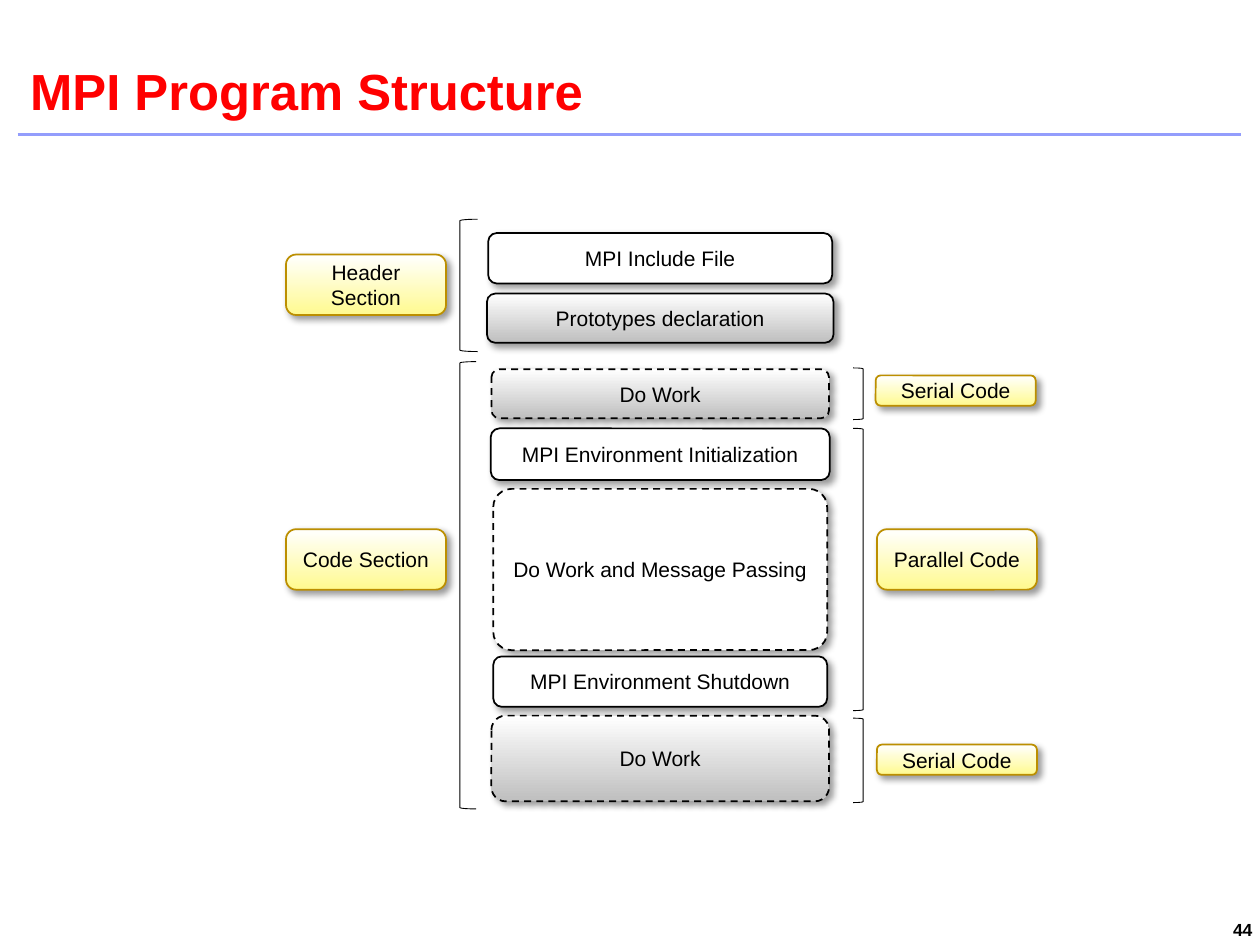
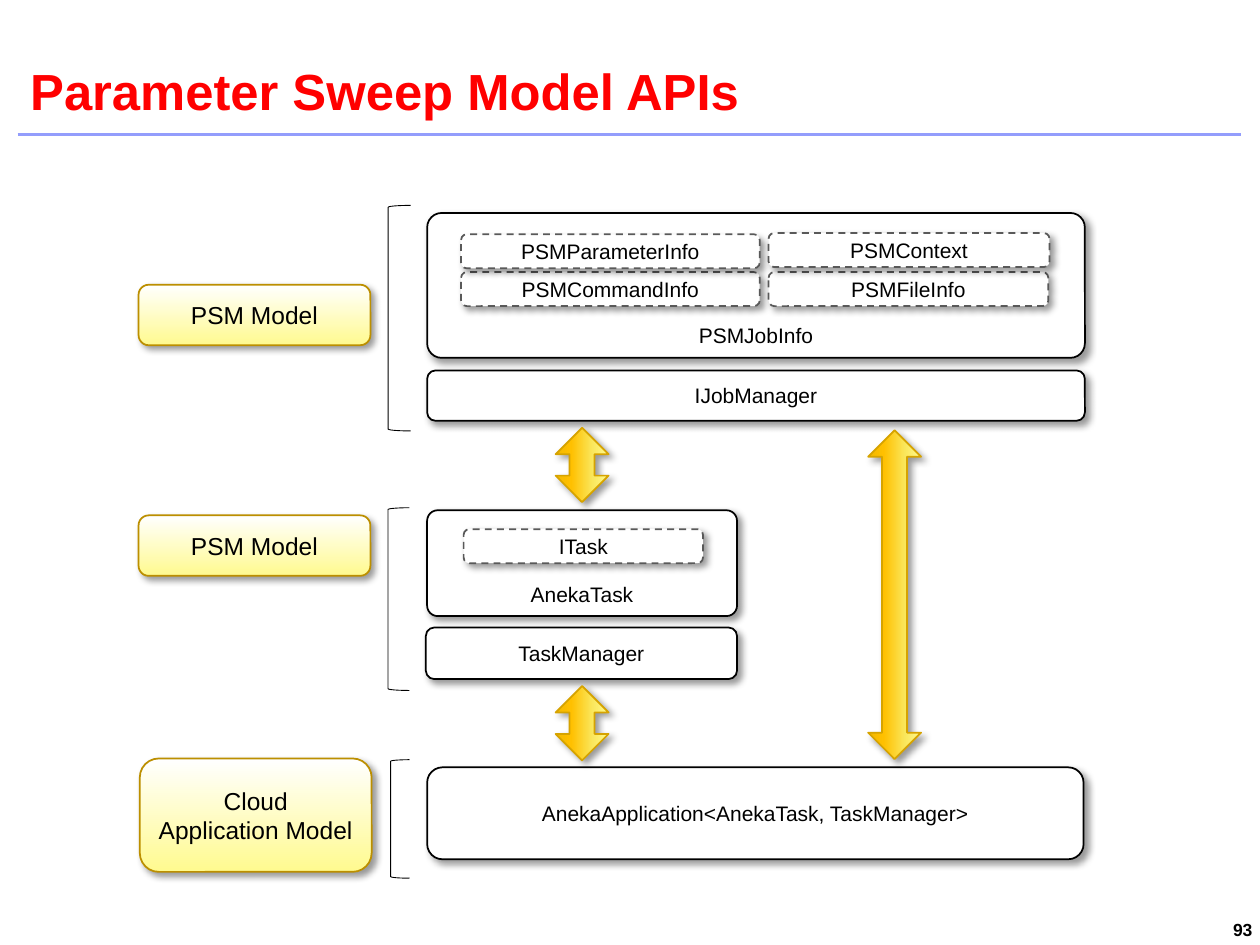
"""Builds two diagram slides: MPI program structure and parameter sweep APIs."""
from lxml.etree import SubElement
from pptx import Presentation
from pptx.dml.color import RGBColor as RGB
from pptx.enum.dml import MSO_LINE as Dash
from pptx.enum.shapes import MSO_CONNECTOR as Link, MSO_SHAPE as Form
from pptx.enum.text import MSO_ANCHOR as Anchor, PP_ALIGN as Align
from pptx.oxml.ns import qn
from pptx.util import Inches, Pt

HUES = {"title": "FF0000", "rule": "939DFC", "ink": "000000", "paper": "FFFFFF",
        "ash": "BFBFBF", "slate": "595959", "lemon": "FFFA8F", "ochre": "BC8F00",
        "straw": "FAE75C", "amber": "FFC000", "honey": "F2B800", "bronze": "D6A300"}

FADES = {"silver": (270, [(0, "paper"), (100, "ash")]),
         "yellow": (270, [(0, "paper"), (100, "lemon")]),
         "gold": (0, [(0, "honey"), (30, "amber"), (70, "straw"), (100, "lemon")])}

LOOKS = {"plain": {"fill": "paper", "line": "ink"},
         "grey": {"fill": "silver", "line": "ink"},
         "option": {"fill": "silver", "line": "ink", "dash": True},
         "work": {"fill": "paper", "line": "ink", "dash": True, "bends": [0.112]},
         "frame": {"fill": "paper", "line": "ink", "bends": [0.1], "anchor": Anchor.BOTTOM},
         "inner": {"fill": "paper", "line": "slate", "dash": True},
         "label": {"fill": "yellow", "line": "ochre"},
         "tag": {"fill": "yellow", "line": "ochre", "size": 14},
         "arrow": {"fill": "gold", "line": "bronze", "bends": [0.557, 0.472],
                   "form": Form.UP_DOWN_ARROW}}

AXIS = 5.24
STACK = [("MPI Include File", 1.85, 2.73, 0.4, "plain"),
         ("Prototypes declaration", 2.33, 2.75, 0.39, "grey"),
         ("Do Work", 2.93, 2.68, 0.39, "option"),
         ("MPI Environment Initialization", 3.4, 2.69, 0.41, "plain"),
         ("Do Work and Message Passing", 3.88, 2.65, 1.28, "work"),
         ("MPI Environment Shutdown", 5.21, 2.65, 0.4, "plain"),
         ("Do Work", 5.68, 2.68, 0.68, "option")]
PARTS = [("Header\nSection", 2.27, 2.02, 0.48), ("Code Section", 2.27, 4.2, 0.48),
         ("Serial Code", 6.95, 2.98, 0.24), ("Parallel Code", 6.96, 4.2, 0.48),
         ("Serial Code", 6.96, 5.91, 0.24)]
PART_WIDTH = 1.27

LAYERS = [("PSMJobInfo", 3.39, 1.69, 5.22, 1.15, "frame"),
          ("PSMCommandInfo", 3.66, 2.16, 2.37, 0.27, "inner"),
          ("PSMParameterInfo", 3.66, 1.86, 2.37, 0.27, "inner"),
          ("PSMFileInfo", 6.1, 2.16, 2.22, 0.27, "inner"),
          ("PSMContext", 6.1, 1.85, 2.23, 0.27, "inner"),
          ("IJobManager", 3.39, 2.94, 5.22, 0.4, "plain"),
          ("AnekaTask", 3.39, 4.05, 2.46, 0.84, "frame"),
          ("ITask", 3.68, 4.2, 1.9, 0.27, "inner"),
          ("TaskManager", 3.38, 4.98, 2.47, 0.41, "plain"),
          ("AnekaApplication<AnekaTask, TaskManager>", 3.39, 6.09, 5.21, 0.73, "plain"),
          ("PSM Model", 1.1, 2.26, 1.84, 0.48, "tag"),
          ("PSM Model", 1.1, 4.09, 1.84, 0.48, "tag"),
          ("Cloud\nApplication Model", 1.11, 6.02, 1.84, 0.9, "tag")]
ARROWS = [(4.62, 3.69, 0.59), (4.62, 5.74, 0.59), (7.1, 4.72, 2.61)]
ARROW_WIDTH = 0.42

LEFT, RIGHT = Form.LEFT_BRACKET, Form.RIGHT_BRACKET
MPI_SPANS = [(LEFT, 3.65, 1.74, 0.14, 1.05), (LEFT, 3.65, 2.87, 0.13, 3.55),
             (RIGHT, 6.77, 2.92, 0.08, 0.41), (RIGHT, 6.77, 3.4, 0.08, 2.24),
             (RIGHT, 6.77, 5.7, 0.08, 0.67)]
PSM_SPANS = [(LEFT, 3.08, 1.63, 0.18, 1.79), (LEFT, 3.08, 4.03, 0.17, 1.45),
             (LEFT, 3.1, 6.03, 0.15, 0.94)]


def color(name):
    return RGB.from_string(HUES[name])


def write(frame, text, size, hue="ink", bold=False, align=Align.CENTER, **form):
    for key, value in {"word_wrap": True, **form}.items():
        setattr(frame, key, value)
    frame.text = text
    for para in frame.paragraphs:
        para.alignment = align
        for key, value in {"name": "Arial", "size": Pt(size), "bold": bold}.items():
            setattr(para.font, key, value)
        para.font.color.rgb = color(hue)


def margins(left, top, right, bottom):
    sides = {"left": left, "top": top, "right": right, "bottom": bottom}
    return {f"margin_{side}": Inches(gap) for side, gap in sides.items()}


def hue_node(parent, name):
    return SubElement(parent, qn("a:srgbClr"), val=HUES[name])


def paint(shape, name):
    if name not in FADES:
        shape.fill.solid()
        shape.fill.fore_color.rgb = color(name)
        return
    angle, stops = FADES[name]
    shape.fill.gradient()
    shape.fill.gradient_angle = angle
    ramp = shape._element.spPr.find(".//" + qn("a:gsLst"))
    for stop in list(ramp):
        ramp.remove(stop)
    for place, hue in stops:
        hue_node(SubElement(ramp, qn("a:gs"), pos=str(place * 1000)), hue)


def shade(shape):
    effects = shape._element.spPr.find(qn("a:effectLst"))
    cast = SubElement(effects, qn("a:outerShdw"), blurRad=str(Pt(4)), dist=str(Pt(3)),
                      dir="2700000", algn="tl", rotWithShape="0")
    SubElement(hue_node(cast, "ink"), qn("a:alpha"), val="40000")


def place(slide, form, box, line, width):
    shape = slide.shapes.add_shape(form, *map(Inches, box))
    shape.shadow.inherit = False
    shape.line.color.rgb = color(line)
    shape.line.width = Pt(width)
    return shape


def block(slide, text, box, style):
    look = LOOKS[style]
    shape = place(slide, look.get("form", Form.ROUNDED_RECTANGLE), box, look["line"], 1)
    paint(shape, look["fill"])
    shade(shape)
    for index, bend in enumerate(look.get("bends", [])):
        shape.adjustments[index] = bend
    if look.get("dash"):
        shape.line.dash_style = Dash.DASH
    if text:
        write(shape.text_frame, text, look.get("size", 12),
              vertical_anchor=look.get("anchor", Anchor.MIDDLE))


def bracket(slide, form, *box):
    place(slide, form, box, "ink", 0.5).fill.background()


def start(deck, title, number):
    slide = deck.slides.add_slide(deck.slide_layouts[6])
    rule = slide.shapes.add_connector(Link.STRAIGHT, *map(Inches, (0.14, 1.07, 9.85, 1.07)))
    rule.line.color.rgb = color("rule")
    rule.line.width = Pt(1.75)
    SubElement(rule._element.spPr, qn("a:effectLst"))
    head = slide.shapes.add_textbox(*map(Inches, (0.18, 0, 9.67, 0.96)))
    write(head.text_frame, title, 29, "title", True, Align.LEFT,
          vertical_anchor=Anchor.BOTTOM, **margins(0.06, 0.02, 0, 0))
    foot = slide.shapes.add_textbox(*map(Inches, (9.1, 7.29, 0.9, 0.18)))
    write(foot.text_frame, number, 10, "ink", True, Align.RIGHT, **margins(0, 0, 0.06, 0.06))
    return slide


def main():
    deck = Presentation()
    deck.slide_width, deck.slide_height = Inches(10), Inches(7.5)

    slide = start(deck, "MPI Program Structure", "44")
    for text, top, width, height, style in STACK:
        block(slide, text, (AXIS - width / 2, top, width, height), style)
    for span in MPI_SPANS:
        bracket(slide, *span)
    for text, left, top, height in PARTS:
        block(slide, text, (left, top, PART_WIDTH, height), "label")

    slide = start(deck, "Parameter Sweep Model APIs", "93")
    for text, *box, style in LAYERS:
        block(slide, text, box, style)
    for span in PSM_SPANS:
        bracket(slide, *span)
    for x, y, height in ARROWS:
        box = (x - ARROW_WIDTH / 2, y - height / 2, ARROW_WIDTH, height)
        block(slide, "", box, "arrow")

    deck.save("out.pptx")


if __name__ == "__main__":
    main()
